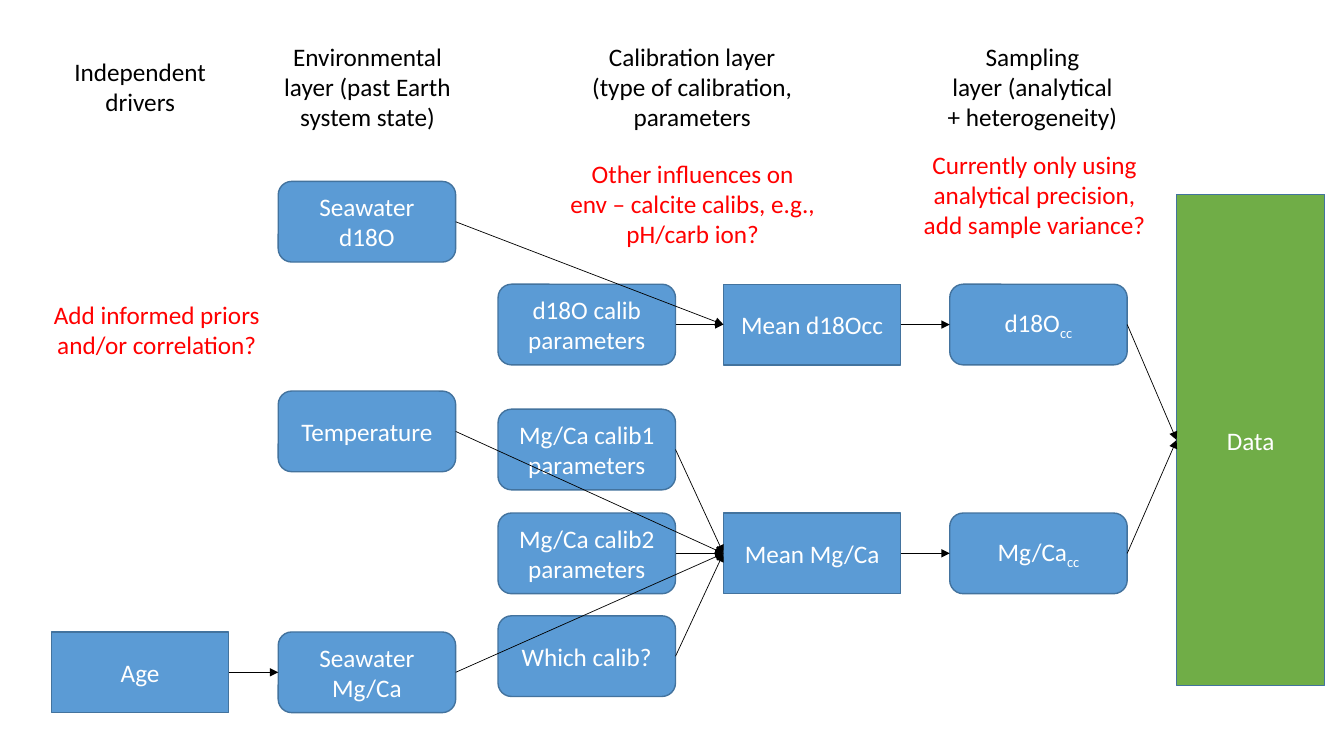
"""Build the slide of the layered proxy calibration model."""
import dataclasses
import typing

import pptx
import pptx.dml.color
import pptx.enum.shapes
import pptx.enum.text
import pptx.oxml
import pptx.oxml.ns
import pptx.util

SHAPE = pptx.enum.shapes.MSO_SHAPE
COLORS = {"node": "5B9BD5", "data": "70AD47", "edge": "43739E",
          "light": "FFFFFF", "dark": "000000", "note": "FF0000"}
COLS = {"driver": 0.51, "env": 2.76, "calib": 4.94, "mean": 7.175, "sample": 9.42, "data": 11.67}
ROWS = {"water": 1.8, "oxygen": 2.82, "temp": 3.88, "calib1": 4.06,
        "magnesium": 5.09, "which": 6.11, "age": 6.27}
NODE_W, NODE_H = 1.76, 0.8
FONT = {"name": "Calibri", "size": pptx.util.Pt(18)}
LEFT, RIGHT = 1, 3


@dataclasses.dataclass
class Node:
    """A box of the model, placed by column and row."""
    key: str
    text: str
    col: str
    row: str
    rounded: bool = True
    sub: str = ""


@dataclasses.dataclass
class Label:
    """Free text; a vertical tab breaks a line and a newline a paragraph."""
    text: str
    left: float
    top: float
    width: float
    height: float = 1.01
    color: str = "dark"


NODES = [
    Node("mean_mg", "Mean Mg/Ca", "mean", "magnesium", False),
    Node("mean_o", "Mean d18Occ", "mean", "oxygen", False),
    Node("water_o", "Seawater d18O", "env", "water"),
    Node("age", "Age", "driver", "age", False),
    Node("temp", "Temperature", "env", "temp"),
    Node("water_mg", "Seawater Mg/Ca", "env", "age"),
    Node("calib1", "Mg/Ca calib1 parameters", "calib", "calib1"),
    Node("calib2", "Mg/Ca calib2 parameters", "calib", "magnesium"),
    Node("calib_o", "d18O calib parameters", "calib", "oxygen"),
    Node("which", "Which calib?", "calib", "which"),
    Node("sample_mg", "Mg/Ca", "sample", "magnesium", sub="cc"),
    Node("sample_o", "d18O", "sample", "oxygen", sub="cc"),
]
SOURCES = {
    "water_mg": ["age"],
    "mean_mg": ["water_mg", "temp", "calib1", "calib2", "which"],
    "mean_o": ["water_o", "calib_o"],
    "sample_o": ["mean_o"],
    "sample_mg": ["mean_mg"],
    "data": ["sample_o", "sample_mg"],
}
HEADINGS = [
    Label("Independent\ndrivers", 0.63, 0.51, 1.52, 0.71),
    Label("Environmental\vlayer (past Earth\vsystem state)", 2.71, 0.36, 1.87),
    Label("Calibration layer\v(type of calibration,\nparameters", 5.76, 0.36, 2.21),
    Label("Sampling\vlayer (analytical\v+ heterogeneity)", 9.29, 0.36, 1.9),
]
NOTES = [
    Label("Add informed priors\vand/or correlation?", 0.42, 2.92, 2.27, 0.71, "note"),
    Label("Currently only using\vanalytical precision,\vadd sample variance?",
          9.05, 1.43, 2.42, color="note"),
    Label("Other influences on\venv – calcite calibs, e.g.,\vpH/carb ion?",
          5.54, 1.52, 2.66, color="note"),
]


def rgb(name: str) -> pptx.dml.color.RGBColor:
    """Look up a named colour."""
    return pptx.dml.color.RGBColor.from_string(COLORS[name])


def write(tf: typing.Any, text: str, color: str, sub: str = "") -> None:
    """Fill a frame with centred text and an optional subscript."""
    tf.text = text
    if sub:
        r = tf.paragraphs[0].add_run()
        r.text = sub
        r._r.get_or_add_rPr().set("baseline", "-25000")
    for p in tf.paragraphs:
        p.alignment = pptx.enum.text.PP_ALIGN.CENTER
        for font in [p.font, *(r.font for r in p.runs)]:
            for name, value in FONT.items():
                setattr(font, name, value)
            font.color.rgb = rgb(color)


def add_box(s: typing.Any, kind: typing.Any, at: tuple, fill: str,
            text: str, sub: str = "") -> typing.Any:
    """Draw a filled, outlined box with its text in the middle."""
    sp = s.shapes.add_shape(kind, *map(pptx.util.Inches, at))
    sp.shadow.inherit = False
    sp.fill.solid()
    sp.fill.fore_color.rgb = rgb(fill)
    sp.line.color.rgb = rgb("edge")
    sp.line.width = pptx.util.Pt(1)
    tf = sp.text_frame
    tf.word_wrap = True
    tf.vertical_anchor = pptx.enum.text.MSO_ANCHOR.MIDDLE
    write(tf, text, "light", sub)
    return sp


def add_label(s: typing.Any, label: Label) -> None:
    """Draw free text that keeps its own line breaks."""
    at = (label.left, label.top, label.width, label.height)
    tf = s.shapes.add_textbox(*map(pptx.util.Inches, at)).text_frame
    tf.word_wrap = False
    tf.auto_size = pptx.enum.text.MSO_AUTO_SIZE.SHAPE_TO_FIT_TEXT
    write(tf, label.text, label.color)


def add_arrow(s: typing.Any, start: typing.Any, end: typing.Any) -> None:
    """Join the right side of one box to the left side of another."""
    c = s.shapes.add_connector(pptx.enum.shapes.MSO_CONNECTOR.STRAIGHT, 0, 0, 0, 0)
    c.begin_connect(start, RIGHT)
    c.end_connect(end, LEFT)
    c.line.color.rgb = rgb("dark")
    c.line.width = pptx.util.Pt(0.5)
    ns = pptx.oxml.ns.nsdecls("a")
    c.line._get_or_add_ln().append(pptx.oxml.parse_xml(f'<a:tailEnd {ns} type="triangle"/>'))
    c._element.spPr.append(pptx.oxml.parse_xml(f"<a:effectLst {ns}/>"))


def main() -> None:
    """Assemble and save the slide."""
    prs = pptx.Presentation()
    prs.slide_width, prs.slide_height = pptx.util.Inches(13.33), pptx.util.Inches(7.5)
    s = prs.slides.add_slide(prs.slide_layouts.get_by_name("Blank"))
    boxes = {}
    for n in NODES:
        kind = SHAPE.ROUNDED_RECTANGLE if n.rounded else SHAPE.RECTANGLE
        at = (COLS[n.col], ROWS[n.row], NODE_W, NODE_H)
        boxes[n.key] = add_box(s, kind, at, "node", n.text, n.sub)
    for label in HEADINGS:
        add_label(s, label)
    boxes["data"] = add_box(s, SHAPE.RECTANGLE, (COLS["data"], 1.93, 1.47, 4.87), "data", "Data")
    for target, sources in SOURCES.items():
        for source in sources:
            add_arrow(s, boxes[source], boxes[target])
    for label in NOTES:
        add_label(s, label)
    prs.save("out.pptx")


main()
